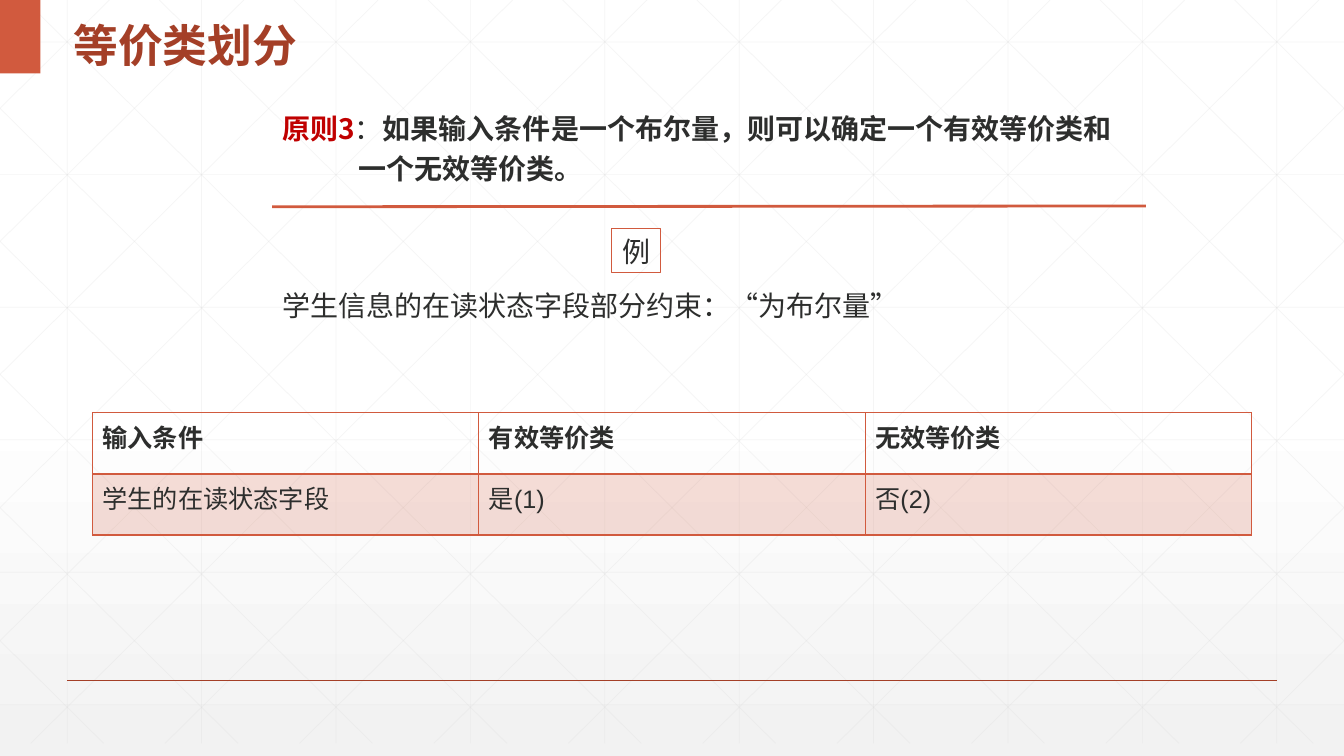
from lxml import etree
from pptx import Presentation
from pptx.dml.color import RGBColor
from pptx.enum.shapes import MSO_CONNECTOR, MSO_SHAPE
from pptx.enum.text import MSO_ANCHOR, PP_ALIGN
from pptx.oxml.ns import qn
from pptx.util import Cm, Pt

RECT = MSO_SHAPE.RECTANGLE
LINE = MSO_CONNECTOR.STRAIGHT
MIDDLE = MSO_ANCHOR.MIDDLE
CENTER = PP_ALIGN.CENTER
LEFT = PP_ALIGN.LEFT
JUSTIFY = PP_ALIGN.JUSTIFY

HUES = {
    "ink": "2D2E2D",
    "rust": "D15A3E",
    "dark": "A43F27",
    "red": "C00000",
    "grid": "D9D9D9",
    "white": "FFFFFF",
    "mist": "F2F2F2",
}
HAN = "Noto Sans CJK SC"
WIDE, HIGH = 33.87, 19.05


def rgb(hue):
    return RGBColor.from_string(HUES[hue])


def fade(node, part):
    for color in node.iter(qn("a:srgbClr")):
        etree.SubElement(color, qn("a:alpha")).set("val", str(part * 1000))


def write(para, text, size=20, hue="ink", bold=False, font="Arial", align=LEFT, gap=1.0):
    para.alignment = align
    para.line_spacing = gap
    run = para.add_run()
    run.text = text
    run.font.size = Pt(size)
    run.font.bold = bold
    run.font.color.rgb = rgb(hue)
    run.font.name = font
    etree.SubElement(run.font._element, qn("a:ea")).set("typeface", HAN)


def frame(slide, box, wrap=True):
    text = slide.shapes.add_textbox(*map(Cm, box)).text_frame
    text.word_wrap = wrap
    return text


def rule(slide, start, end, hue, width, part=None):
    line = slide.shapes.add_connector(LINE, *map(Cm, start + end))
    line.line.color.rgb = rgb(hue)
    line.line.width = Pt(width)
    props = line._element.spPr
    etree.SubElement(props, qn("a:effectLst"))
    if part:
        fade(props, part)


def block(slide, box, fill=None, edge=None):
    shape = slide.shapes.add_shape(RECT, *map(Cm, box))
    shape.shadow.inherit = False
    if fill:
        shape.fill.solid()
        shape.fill.fore_color.rgb = rgb(fill)
    else:
        shape.fill.background()
    if edge:
        shape.line.color.rgb = rgb(edge)
        shape.line.width = Pt(0.75)
    else:
        shape.line.fill.background()
    return shape


def shade(slide):
    fill = slide.background.fill
    fill.gradient()
    fill.gradient_angle = 270
    for stop, place, hue in zip(fill.gradient_stops, (0.53, 1), ("white", "mist")):
        stop.position = place
        stop.color.rgb = rgb(hue)


def mesh(slide, box):
    left, top, wide, high = box
    step = wide / 10
    slope = 1.01

    def thin(x1, y1, x2, y2):
        rule(slide, (left + x1, top + y1), (left + x2, top + y2), "grid", 0.5, 25)

    for col in range(10):
        x = step * (col + 0.5)
        thin(x, 0, x, high)
    for row in range(6):
        y = 1.06 + 3.34 * row
        thin(0, y, wide, y)
    for col in range(-5, 10):
        x = 0.63 + step * col
        y1 = max(0, -x / slope)
        y2 = min(high, (wide - x) / slope)
        x1, x2 = x + y1 * slope, x + y2 * slope
        thin(x1, y1, x2, y2)
        thin(wide - x1, y1, wide - x2, y2)


def head(slide, box):
    left, top, wide, high = box
    block(slide, (left, top, 1.02, high), fill="rust")
    text = frame(slide, (left + 1.6, top, wide - 1.6, high))
    text.vertical_anchor = MIDDLE
    write(text.paragraphs[0], "等价类划分", size=32, hue="dark", bold=True, gap=1.3)


def idea(slide, box):
    left, top, wide, high = box
    text = frame(slide, (left, top, wide, 2.08))
    first = text.paragraphs[0]
    for words, hue, bold in (
        ("原则3", "red", True),
        ("：", "ink", False),
        ("如果输入条件是一个布尔量，则可以确定一个有效等价类和", "ink", True),
    ):
        write(first, words, hue=hue, bold=bold, font=HAN, gap=1.2)
    last = text.add_paragraph()
    last._p.get_or_add_pPr().set("marL", str(Cm(1.92)))
    write(last, "一个无效等价类。", bold=True, font=HAN, gap=1.2)
    rule(slide, (left, top + high), (left + wide, top + high - 0.02), "rust", 2)


def case(slide, box):
    left, top, wide, high = box
    tag = block(slide, (left + 8.56, top, 1.22, 1.11), edge="rust").text_frame
    tag.word_wrap = False
    tag.vertical_anchor = MIDDLE
    write(tag.paragraphs[0], "例", align=CENTER)
    text = frame(slide, (left, top + high - 1.11, wide, 1.11))
    write(text.paragraphs[0], "学生信息的在读状态字段部分约束：“为布尔量”")


def edge(props, side, width):
    line = etree.SubElement(props, qn("a:" + side), w=str(Pt(width)))
    fill = etree.SubElement(line, qn("a:solidFill"))
    etree.SubElement(fill, qn("a:srgbClr"), val=HUES["rust"])


def classes(slide, box):
    rows = (
        ("输入条件", "有效等价类", "无效等价类"),
        ("学生的在读状态字段", "是(1)", "否(2)"),
    )
    table = slide.shapes.add_table(len(rows), len(rows[0]), *map(Cm, box)).table
    for y, row in enumerate(rows):
        for x, words in enumerate(row):
            cell = table.cell(y, x)
            write(cell.text_frame.paragraphs[0], words, size=18, bold=y == 0, align=JUSTIFY)
            props = cell._tc.get_or_add_tcPr()
            for side, width in (("lnL", 1), ("lnR", 1), ("lnT", 1 + y), ("lnB", 2 - y)):
                edge(props, side, width)
            if y:
                cell.fill.solid()
                cell.fill.fore_color.rgb = rgb("rust")
                fade(props.find(qn("a:solidFill")), 20)
            else:
                cell.fill.background()


def main():
    deck = Presentation()
    deck.slide_width, deck.slide_height = Cm(WIDE), Cm(HIGH)
    slide = deck.slides.add_slide(deck.slide_layouts[6])
    shade(slide)
    mesh(slide, (0, 0, WIDE, 18.73))
    rule(slide, (1.69, 17.14), (32.17, 17.14), "dark", 1)
    head(slide, (0, 0, 16.05, 1.85))
    idea(slide, (6.86, 2.51, 22.02, 2.7))
    case(slide, (6.86, 5.77, 20.17, 2.49))
    classes(slide, (2.33, 10.4, 29.21, 3.08))
    deck.save("out.pptx")


if __name__ == "__main__":
    main()
